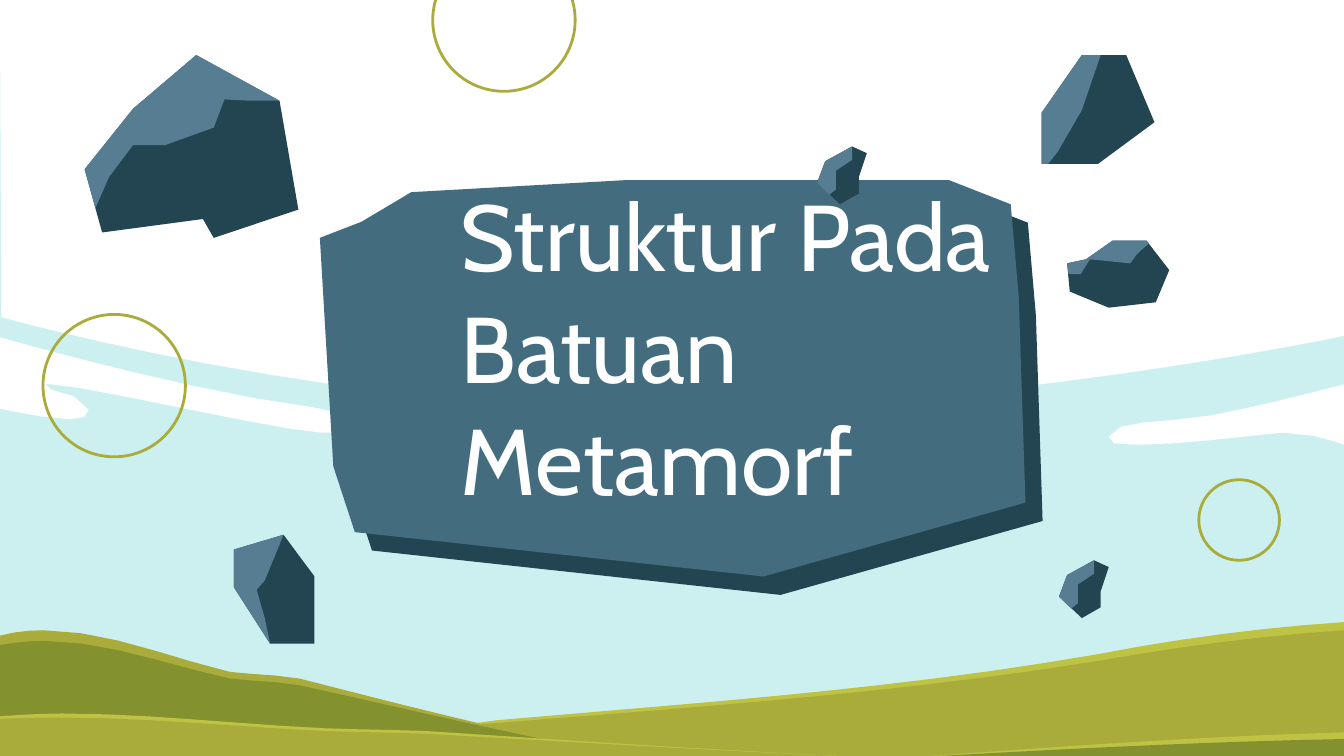
import math
from dataclasses import dataclass

import lxml.etree
import pptx
import pptx.dml.color
import pptx.enum.shapes
import pptx.enum.text
import pptx.oxml.ns
import pptx.util
from pptx.dml.color import RGBColor
from pptx.util import Cm

WHITE = RGBColor(0xFF, 0xFF, 0xFF)
SKY = RGBColor(0xCC, 0xF0, 0xF0)
OLIVE = RGBColor(0xA9, 0xAC, 0x3B)
MOSS = RGBColor(0x84, 0x91, 0x2F)
LIME = RGBColor(0xBF, 0xC3, 0x43)
SLATE = RGBColor(0x43, 0x6D, 0x7F)
STONE_DARK = RGBColor(0x23, 0x45, 0x51)
STONE_LIGHT = RGBColor(0x57, 0x7D, 0x92)

GRID = 2.54  # centimetres per grid unit; the page is 10 units wide

# A node of two numbers is a corner; one of six is a Bezier curve.
Outline = list[tuple[float, ...]]


@dataclass
class Area:
    colour: RGBColor
    outline: Outline


@dataclass
class Ring:
    left: float
    top: float
    size: float


@dataclass
class Rock:
    body: Outline
    facet: Outline
    right: float = 0
    down: float = 0


CLOUDS = [
    Area(WHITE, [(0, 0), (0.01, 2.36), (0.01, 2.36, 2.45, 3.05, 4.92, 3.05),
                 (7.39, 3.05, 10, 2.5, 10, 2.5), (10, 0)]),
    Area(WHITE, [(0, 2.51), (0, 3.04), (0, 3.04, 0.33, 3.12, 0.52, 3.12),
                 (0.61, 3.12, 0.67, 3.1, 0.66, 3.05), (0.64, 2.91, 0.26, 2.91, 0.34, 2.86),
                 (0.37, 2.86), (0.61, 2.86, 2.03, 3.2, 2.39, 3.22),
                 (2.51, 3.22), (2.86, 3.22, 3.16, 3.15, 2.32, 3.03),
                 (1.38, 2.91, 0, 2.51, 0, 2.51)]),
    Area(WHITE, [(10, 2.86), (10, 2.86, 9.44, 3.01, 9.02, 3.09),
                 (8.6, 3.16, 8.32, 3.11, 8.25, 3.25), (8.22, 3.3, 8.31, 3.31, 8.46, 3.31),
                 (8.75, 3.31, 9.25, 3.25, 9.44, 3.23), (9.55, 3.22),
                 (9.79, 3.22, 10, 3.31, 10, 3.31)]),
]
# Each hill is a bright rim with a slightly lower slope over it.
HILLS = [
    Area(OLIVE, [(0.32, 4.69), (0.22, 4.69, 0.11, 4.7, 0, 4.73), (0, 5.64), (4.79, 5.64),
                 (3.94, 5.49, 3.09, 5.27, 2.23, 5.05), (2.06, 5.02, 1.88, 5.02, 1.71, 5),
                 (1.25, 4.89, 0.79, 4.69, 0.32, 4.69)]),
    Area(MOSS, [(0.33, 4.77), (0.22, 4.77, 0.11, 4.78, 0, 4.8), (0, 5.64), (4.79, 5.64),
                (3.94, 5.5, 3.09, 5.29, 2.23, 5.1), (2.06, 5.07, 1.88, 5.07, 1.71, 5.05),
                (1.25, 4.95, 0.79, 4.77, 0.33, 4.77)]),
    Area(LIME, [(10, 4.63), (9.39, 4.67, 8.78, 4.75, 8.16, 4.87),
                (6.67, 5.13, 5.19, 5.23, 3.7, 5.36), (3.55, 5.38),
                (3.97, 5.47, 4.38, 5.57, 4.79, 5.64), (8.59, 5.64),
                (9.06, 5.56, 9.53, 5.48, 10, 5.45)]),
    Area(OLIVE, [(10, 4.69), (9.39, 4.73, 8.78, 4.81, 8.16, 4.92),
                 (6.67, 5.16, 5.19, 5.26, 3.7, 5.38), (3.55, 5.39),
                 (3.97, 5.49, 4.38, 5.57, 4.79, 5.64), (8.59, 5.64),
                 (9.06, 5.56, 9.53, 5.49, 10, 5.46)]),
    Area(LIME, [(0.46, 5.31), (0.31, 5.31, 0.15, 5.32, 0, 5.33), (0, 5.65), (6.78, 5.65),
                (5.58, 5.6, 4.38, 5.52, 3.16, 5.44), (2.91, 5.43, 2.67, 5.43, 2.42, 5.42),
                (1.76, 5.39, 1.11, 5.31, 0.46, 5.31)]),
    Area(OLIVE, [(0.46, 5.34), (0.31, 5.34, 0.15, 5.34, 0, 5.35), (0, 5.65), (6.78, 5.65),
                 (5.58, 5.6, 4.38, 5.53, 3.16, 5.46), (2.91, 5.45, 2.67, 5.45, 2.42, 5.44),
                 (1.76, 5.41, 1.11, 5.34, 0.46, 5.34)]),
    Area(LIME, [(10, 5.45), (8.91, 5.48, 7.82, 5.56, 6.73, 5.64), (10, 5.64)]),
    Area(MOSS, [(10, 5.5), (8.91, 5.52, 7.82, 5.58, 6.73, 5.64), (10, 5.64)]),
]
RINGS = [Ring(0.32, 2.34, 1.06), Ring(8.92, 3.57, 0.6), Ring(3.22, -0.38, 1.06)]
SIGN = Area(SLATE, [(4.66, 1.34), (3.06, 1.43), (2.69, 1.65), (2.38, 1.77), (2.48, 3.47),
                    (2.64, 3.96), (5.68, 4.29), (7.63, 3.74), (7.58, 2.21), (7.52, 1.52),
                    (7.06, 1.34)])
PEBBLE_BODY = [(6.34, 1.09), (6.14, 1.2), (6.08, 1.36), (6.25, 1.52), (6.39, 1.44),
               (6.39, 1.32), (6.45, 1.14)]
PEBBLE_FACET = [(6.34, 1.09), (6.14, 1.2), (6.08, 1.36), (6.17, 1.45), (6.22, 1.41),
                (6.22, 1.27), (6.34, 1.19)]
ROCKS = [
    Rock([(1.46, 0.41), (0.99, 0.81), (0.63, 1.26), (0.76, 1.73), (1.51, 1.63),
          (1.59, 1.77), (2.22, 1.56), (2.08, 0.75)],
         [(1.46, 0.41), (0.99, 0.81), (0.63, 1.26), (0.71, 1.55), (0.81, 1.32), (0.99, 1.08),
          (1.23, 1.08), (1.59, 0.95), (1.67, 0.74), (1.86, 0.75), (2.08, 0.75)]),
    Rock([(8.05, 0.41), (7.75, 0.84), (7.75, 1.22), (8.17, 1.22), (8.59, 0.91), (8.38, 0.41)],
         [(8.05, 0.41), (7.75, 0.84), (7.75, 1.22), (7.8, 1.22), (7.87, 1.13), (8.05, 0.82),
          (8.19, 0.41)]),
    Rock([(8.28, 1.79), (8.08, 1.93), (7.94, 1.96), (7.96, 2.17), (8.25, 2.29), (8.6, 2.25),
          (8.7, 2.01), (8.53, 1.79)],
         [(8.28, 1.79), (8.08, 1.93), (7.94, 1.96), (7.95, 2.04), (8.04, 2.04), (8.11, 1.93),
          (8.41, 1.96), (8.46, 1.89), (8.55, 1.81), (8.53, 1.79)]),
    Rock([(2.11, 3.98), (1.74, 4.09), (1.74, 4.37), (2.01, 4.79), (2.34, 4.79), (2.34, 4.29)],
         [(2.11, 3.98), (1.74, 4.09), (1.74, 4.37), (2.01, 4.79), (1.97, 4.6), (1.91, 4.39),
          (1.97, 4.32), (2.04, 4.15)]),
    Rock(PEBBLE_BODY, PEBBLE_FACET),
    Rock(PEBBLE_BODY, PEBBLE_FACET, right=1.8, down=3.08),
]


def trace(outline: Outline) -> list[tuple[float, float]]:
    """Turn corners and curves into points, with more points on longer curves."""
    points = [outline[0]]
    for node in outline[1:]:
        if len(node) == 2:
            points.append(node)
            continue
        controls = (points[-1], node[0:2], node[2:4], node[4:6])
        steps = 2 + round(2 * math.dist(controls[0], controls[3]))
        for step in range(1, steps + 1):
            t = step / steps
            weights = ((1 - t) ** 3, 3 * t * (1 - t) ** 2, 3 * t * t * (1 - t), t ** 3)
            points.append(tuple(sum(w * c[axis] for w, c in zip(weights, controls))
                                for axis in (0, 1)))
    return points


def draw_area(page, area: Area, right: float = 0, down: float = 0):
    # Builder units are thousandths of a centimetre.
    points = [((x + right) * GRID * 1000, (y + down) * GRID * 1000)
              for x, y in trace(area.outline)]
    builder = page.shapes.build_freeform(*points[0], scale=Cm(0.001))
    builder.add_line_segments(points[1:], close=True)
    shape = builder.convert_to_shape()
    shape.shadow.inherit = False
    shape.fill.solid()
    shape.fill.fore_color.rgb = area.colour
    shape.line.fill.background()
    return shape


def draw_ring(page, ring: Ring) -> None:
    shape = page.shapes.add_shape(
        pptx.enum.shapes.MSO_SHAPE.OVAL,
        *(Cm(value * GRID) for value in (ring.left, ring.top, ring.size, ring.size)))
    shape.shadow.inherit = False
    shape.fill.background()
    shape.line.color.rgb = OLIVE
    shape.line.width = pptx.util.Pt(1.5)


def draw_rock(page, rock: Rock) -> None:
    draw_area(page, Area(STONE_DARK, rock.body), rock.right, rock.down)
    draw_area(page, Area(STONE_LIGHT, rock.facet), rock.right, rock.down)


def cast_shadow(shape, colour: RGBColor, distance: pptx.util.Length, degrees: int) -> None:
    qn = pptx.oxml.ns.qn
    effects = shape.element.spPr.find(qn("a:effectLst"))
    shadow = lxml.etree.SubElement(effects, qn("a:outerShdw"), blurRad="0", dist=str(distance),
                                   dir=str(degrees * 60000), algn="bl", rotWithShape="0")
    lxml.etree.SubElement(shadow, qn("a:srgbClr"), val=str(colour))


def draw_title(page, words: str) -> None:
    box = page.shapes.add_textbox(*(Cm(value * GRID) for value in (3.33, 1.63, 4.56, 1.89)))
    frame = box.text_frame
    frame.word_wrap = True
    frame.vertical_anchor = pptx.enum.text.MSO_ANCHOR.MIDDLE
    frame.margin_left = frame.margin_right = Cm(0.25)
    frame.margin_top = frame.margin_bottom = Cm(0.25)
    para = frame.paragraphs[0]
    para.text = words
    para.font.name = "Cabin"
    para.font.size = pptx.util.Pt(50)
    para.font.color.rgb = WHITE


def main() -> None:
    deck = pptx.Presentation()
    deck.slide_width, deck.slide_height = Cm(25.4), Cm(14.29)
    page = deck.slides.add_slide(deck.slide_layouts[6])
    # Landscape
    page.background.fill.solid()
    page.background.fill.fore_color.rgb = SKY
    for area in CLOUDS + HILLS:
        draw_area(page, area)
    for ring in RINGS:
        draw_ring(page, ring)
    # Stone sign with the title
    sign = draw_area(page, SIGN)
    cast_shadow(sign, STONE_DARK, pptx.util.Pt(13.5), 47)
    draw_title(page, "Struktur Pada Batuan Metamorf")
    # Floating rocks
    for rock in ROCKS:
        draw_rock(page, rock)
    deck.save("out.pptx")


if __name__ == "__main__":
    main()
